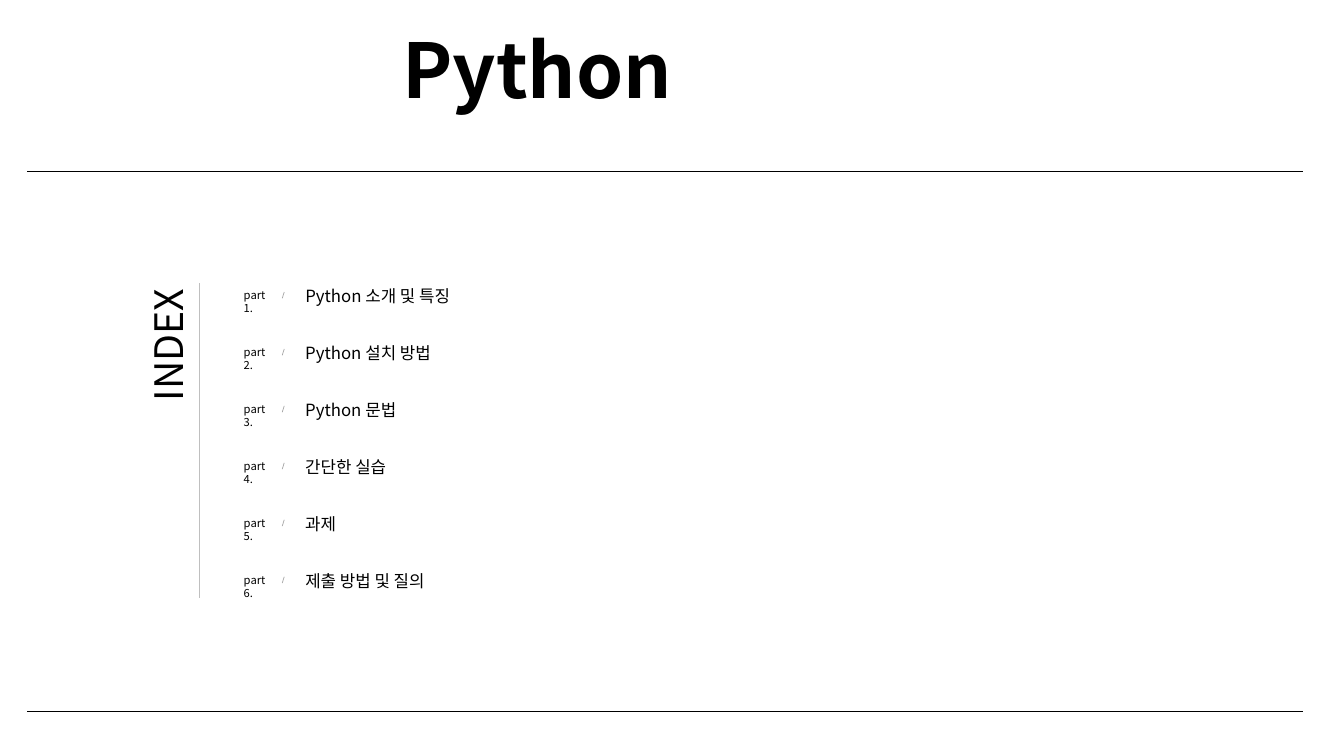
from lxml import etree
from pptx import Presentation
from pptx.dml.color import RGBColor
from pptx.enum import shapes, text
from pptx.oxml import ns
from pptx.util import Pt

FACE = "Noto Sans CJK KR"
PITCH = 40.68
PARTS = [
    ("Python 소개 및 특징", 126),
    ("Python 설치 방법", 110.16),
    ("Python 문법", 81.36),
    ("간단한 실습", 79.2),
    ("과제", 38.88),
    ("제출 방법 및 질의", 111.6),
]


def paint(tone):
    """Turn a hex string into a colour."""
    return RGBColor.from_string(tone)


def place(shape, left, top, width, height):
    """Set the frame of a shape in points."""
    shape.left, shape.top = Pt(left), Pt(top)
    shape.width, shape.height = Pt(width), Pt(height)


def write(shape, words, size, tone="000000", bold=False, wrap=False):
    """Put formatted text into a shape."""
    frame = shape.text_frame
    frame.word_wrap = wrap
    frame.auto_size = text.MSO_AUTO_SIZE.SHAPE_TO_FIT_TEXT
    frame.vertical_anchor = text.MSO_ANCHOR.TOP
    para = frame.paragraphs[0]
    para.alignment = text.PP_ALIGN.LEFT
    run = para.add_run()
    run.text = words
    font = run.font
    font.name, font.size, font.bold = FACE, Pt(size), bold
    font.color.rgb = paint(tone)
    east = etree.SubElement(run._r.get_or_add_rPr(), ns.qn("a:ea"))
    east.set("typeface", FACE)


def label(slide, words, left, top, width, height, **form):
    """Add a text box and return it."""
    box = slide.shapes.add_textbox(Pt(left), Pt(top), Pt(width), Pt(height))
    write(box, words, **form)
    return box


def rule(slide, x1, y1, x2, y2, tone):
    """Add a thin straight line."""
    line = slide.shapes.add_connector(
        shapes.MSO_CONNECTOR.STRAIGHT, Pt(x1), Pt(y1), Pt(x2), Pt(y2))
    line.line.color.rgb = paint(tone)
    line.line.width = Pt(0.5)
    etree.SubElement(line._element.spPr, ns.qn("a:effectLst"))


def entry(slide, index, words, width):
    """Add one row of the index."""
    top = 200.88 + index * PITCH
    label(slide, words, 210.96, top, width, 21.6, size=12, wrap=True)
    rule(slide, 203.04, top + 7.7, 201.6, top + 12.2, "A6A6A6")
    label(slide, f"part {index + 1}.", 167.04, top + 1.5, 38.16, 17.28, size=8)


def main():
    """Build the index slide."""
    deck = Presentation()
    deck.slide_width, deck.slide_height = Pt(960), Pt(540)
    slide = deck.slides.add_slide(deck.slide_layouts[5])
    title = slide.shapes.title
    place(title, 280.08, 12.96, 228.24, 72.72)
    write(title, "Python", size=54, bold=True, wrap=True)
    for y in (122.4, 508.32):
        rule(slide, 19.44, y, 930.96, y, "000000")
    for index, (words, width) in enumerate(PARTS):
        entry(slide, index, words, width)
    rule(slide, 142.56, 202.32, 142.56, 426.96, "BFBFBF")
    side = label(slide, "INDEX", 72, 225.36, 95.76, 41.04, size=28)
    side.rotation = 270
    deck.save("out.pptx")


if __name__ == "__main__":
    main()
